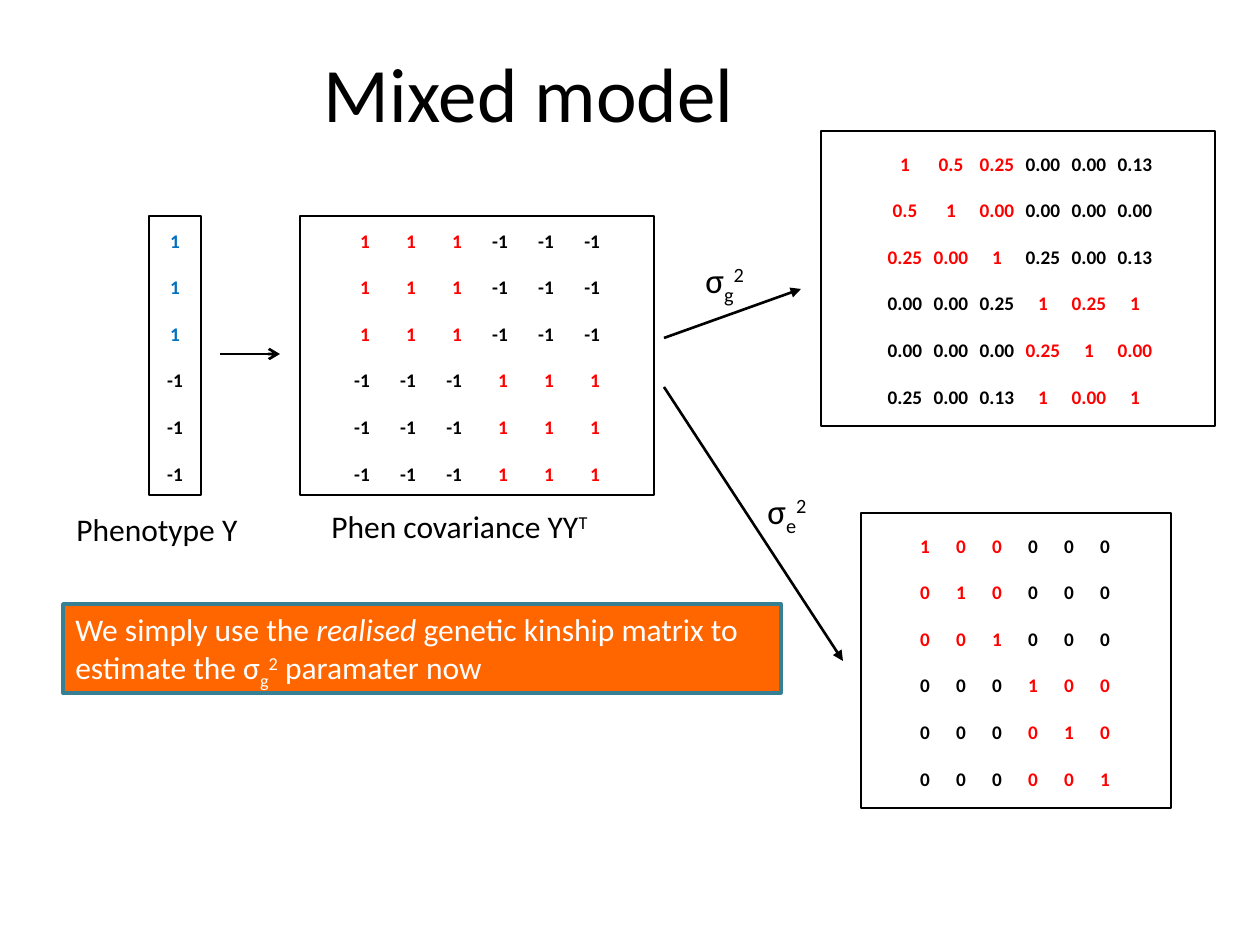
from lxml import etree
from pptx import Presentation
from pptx.dml.color import RGBColor
from pptx.enum.shapes import MSO_CONNECTOR, MSO_SHAPE
from pptx.enum.text import MSO_ANCHOR, PP_ALIGN
from pptx.oxml.ns import qn
from pptx.util import Emu, Pt

RECT = MSO_SHAPE.RECTANGLE
STRAIGHT = MSO_CONNECTOR.STRAIGHT
MIDDLE, TOP = MSO_ANCHOR.MIDDLE, MSO_ANCHOR.TOP
LEFT, CENTER = PP_ALIGN.LEFT, PP_ALIGN.CENTER

SCALE = 914400 / 126
FONT = "Calibri"
COLORS = {"black": "000000", "red": "FF0000", "blue": "0070C0",
          "white": "FFFFFF", "orange": "FF6600", "teal": "377F92"}
BASE = {"sub": "-25000", "sup": "30000"}
INSET = 13

TRAIT = [1, 1, 1, -1, -1, -1]
SIZE = len(TRAIT)
HALF = SIZE // 2
COVAR = [[a * b for b in TRAIT] for a in TRAIT]
IDENT = [[int(i == j) for j in range(SIZE)] for i in range(SIZE)]
KINSHIP = [row.split() for row in (
    "1 0.5 0.25 0.00 0.00 0.13",
    "0.5 1 0.00 0.00 0.00 0.00",
    "0.25 0.00 1 0.25 0.00 0.13",
    "0.00 0.00 0.25 1 0.25 1",
    "0.00 0.00 0.00 0.25 1 0.00",
    "0.25 0.00 0.13 1 0.00 1",
)]


def px(n):
    return Emu(round(n * SCALE))


def rgb(name):
    return RGBColor.from_string(COLORS[name])


def add_run(para, text, size, color="black", style=None):
    """Add a run; style is None, "bold", "italic", "sub" or "sup"."""
    run = para.add_run()
    run.text = text
    font = run.font
    font.name, font.size = FONT, Pt(size)
    font.color.rgb = rgb(color)
    if style == "bold":
        font.bold = True
    elif style == "italic":
        font.italic = True
    elif style:
        run._r.get_or_add_rPr().set("baseline", BASE[style])


def add_rect(slide, box, line, width, fill=None):
    rect = slide.shapes.add_shape(RECT, *map(px, box))
    rect.shadow.inherit = False
    rect.line.color.rgb = rgb(line)
    rect.line.width = Pt(width)
    if fill:
        rect.fill.solid()
        rect.fill.fore_color.rgb = rgb(fill)
    else:
        rect.fill.background()
    return rect


def fill_text(shape, parts, size, color="black", align=LEFT, anchor=TOP):
    """Write one paragraph from (text, style) parts."""
    frame = shape.text_frame
    frame.word_wrap = True
    frame.vertical_anchor = anchor
    para = frame.paragraphs[0]
    para.alignment = align
    for text, style in parts:
        add_run(para, text, size, color, style)


def add_label(slide, box, parts, size, align=LEFT, anchor=TOP):
    label = slide.shapes.add_textbox(*map(px, box))
    fill_text(label, parts, size, align=align, anchor=anchor)


def add_note(slide, box, parts):
    note = add_rect(slide, box, "teal", 2, "orange")
    fill_text(note, parts, 18, "white")


def add_rows(slide, box, count):
    """Add a framed box and return its evenly spaced, empty lines."""
    frame = add_rect(slide, box, "black", 1.5).text_frame
    frame.word_wrap = True
    frame.vertical_anchor = MIDDLE
    frame.margin_left = frame.margin_right = px(INSET)
    frame.margin_top, frame.margin_bottom = px(9), px(6)
    paras = [frame.paragraphs[0]]
    paras += [frame.add_paragraph() for _ in range(count - 1)]
    for para in paras[1:]:
        para.space_before = Pt(13.4)
    return paras


def add_vector(slide, box, values):
    for para, value in zip(add_rows(slide, box, len(values)), values):
        para.alignment = CENTER
        add_run(para, str(value), 11, "blue" if value > 0 else "black", "bold")


def add_matrix(slide, box, rows, first, pitch, kind):
    """Set columns on tab stops; blocks on the diagonal are red."""
    for i, (para, row) in enumerate(zip(add_rows(slide, box, len(rows)), rows)):
        para.alignment = LEFT
        stops = etree.SubElement(para._p.get_or_add_pPr(), qn("a:tabLst"))
        for j in range(len(row)):
            spot = px(first + j * pitch - INSET)
            etree.SubElement(stops, qn("a:tab"), pos=str(spot), algn=kind)
        for start in (0, HALF):
            text = "".join(f"\t{cell}" for cell in row[start:start + HALF])
            near = (i < HALF) == (start < HALF)
            add_run(para, text, 11, "red" if near else "black", "bold")


def add_arrow(slide, ends, head):
    arrow = slide.shapes.add_connector(STRAIGHT, *map(px, ends))
    arrow.line.color.rgb = rgb("black")
    arrow.line.width = Pt(1.5)
    etree.SubElement(arrow.line._get_or_add_ln(), qn("a:tailEnd"), type=head)
    etree.SubElement(arrow._element.spPr, qn("a:effectLst"))


def sigma(sub):
    return [("σ", None), (sub, "sub"), ("2", "sup")]


def main():
    prs = Presentation()
    prs.slide_width, prs.slide_height = px(1260), px(945)
    slide = prs.slides.add_slide(prs.slide_layouts[6])

    add_label(slide, (0, 13, 1058, 157), [("Mixed model", None)], 44,
              CENTER, MIDDLE)
    add_vector(slide, (149, 216, 52, 279), TRAIT)
    add_matrix(slide, (300, 216, 354, 279), COVAR, 70, 46, "r")
    add_matrix(slide, (821, 131, 394, 295), KINSHIP, 84, 46, "ctr")
    add_matrix(slide, (861, 513, 310, 295), IDENT, 64, 36, "ctr")

    add_arrow(slide, (220, 354, 280, 354), "arrow")
    add_arrow(slide, (664, 338, 801, 289), "triangle")
    add_arrow(slide, (664, 387, 843, 661), "triangle")

    add_label(slide, (693, 252, 88, 55), sigma("g"), 20)
    add_label(slide, (755, 483, 88, 55), sigma("e"), 20)
    add_label(slide, (64, 504, 208, 50), [("Phenotype Y", None)], 18)
    add_label(slide, (319, 501, 326, 50),
              [("Phen covariance YY", None), ("T", "sup")], 18)
    add_note(slide, (63, 604, 718, 89), [
        ("We simply use the ", None), ("realised", "italic"),
        (" genetic kinship matrix to estimate the ", None), *sigma("g"),
        (" paramater now", None)])
    prs.save("out.pptx")


if __name__ == "__main__":
    main()
